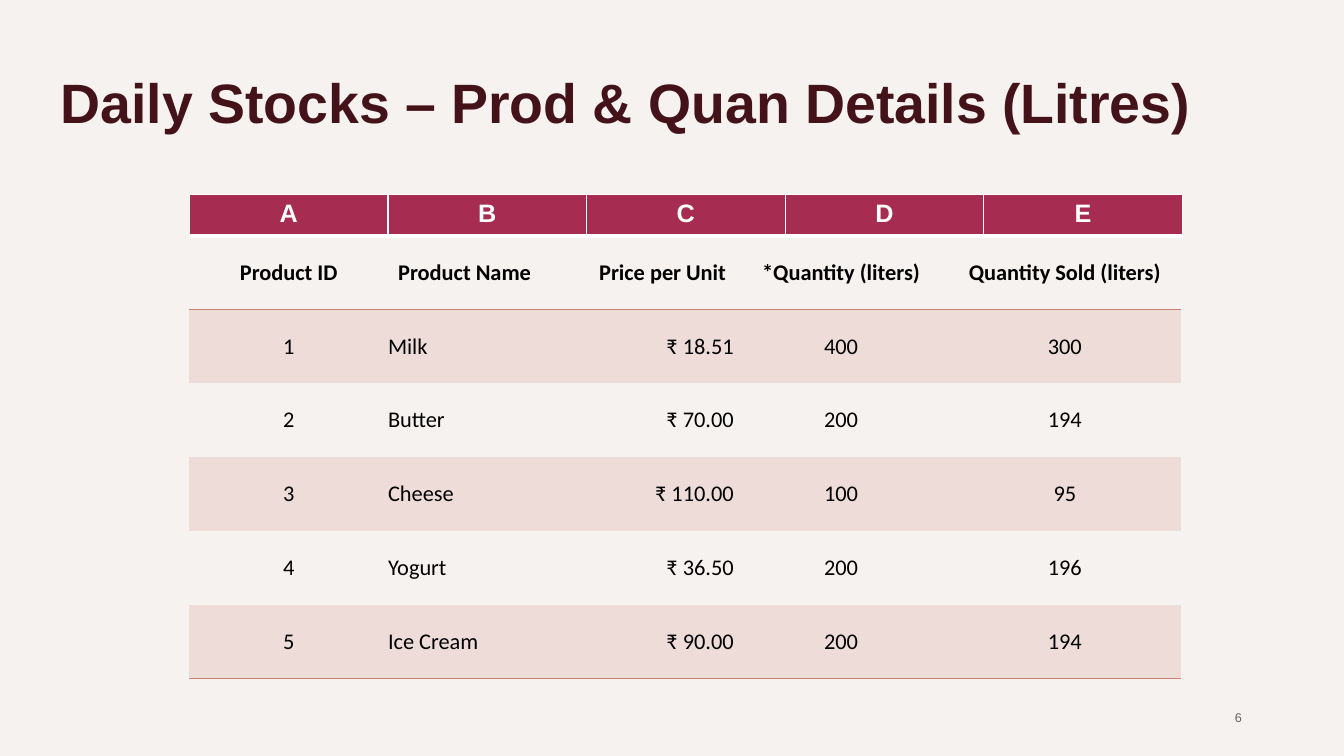
from lxml import etree
from pptx import Presentation
from pptx.dml.color import RGBColor
from pptx.enum import text
from pptx.oxml import ns
from pptx.util import Pt

PAPER, BAND, RULE = "F6F2F0", "EDDCD7", "CA8370"
MAROON, CRIMSON, WHITE, BLACK, GREY = "44131A", "A62C52", "FFFFFF", "000000", "626160"
NO_STYLE = "{2D5ABB26-0587-4C30-8999-92F81FD0307C}"
LEFT, CENTER, RIGHT = text.PP_ALIGN.LEFT, text.PP_ALIGN.CENTER, text.PP_ALIGN.RIGHT

STOCK = [
    ("Product ID", "Product Name", "Price per Unit", "*Quantity (liters)", "Quantity Sold (liters)"),
    ("1", "Milk", "₹ 18.51", "400", "300"),
    ("2", "Butter", "₹ 70.00", "200", "194"),
    ("3", "Cheese", "₹ 110.00", "100", "95"),
    ("4", "Yogurt", "₹ 36.50", "200", "196"),
    ("5", "Ice Cream", "₹ 90.00", "200", "194"),
]
STOCK_WIDTHS = [141.84, 109.44, 137.52, 153.36, 166.32]
STOCK_ALIGN = [CENTER, LEFT, RIGHT, CENTER, CENTER]


def rgb(color):
    return RGBColor.from_string(color)


def write(tf, words, size, font, color, bold=False, align=LEFT):
    p = tf.paragraphs[0]
    p.text, p.alignment = words, align
    f = p.font
    f.size, f.name, f.bold = Pt(size), font, bold
    f.color.rgb = rgb(color)


def add_borders(cell, **borders):
    """Draw cell borders, given in the order L, R, T, B as (colour, width)."""
    tcPr = cell._tc.get_or_add_tcPr()
    for side, (color, width) in borders.items():
        ln = etree.SubElement(tcPr, ns.qn(f"a:ln{side}"), w=str(Pt(width)))
        fill = etree.SubElement(ln, ns.qn("a:solidFill"))
        etree.SubElement(fill, ns.qn("a:srgbClr"), val=color)


def add_plain_table(s, rows, widths, x, y, w, h):
    tbl = s.shapes.add_table(rows, len(widths), Pt(x), Pt(y), Pt(w), Pt(h)).table
    tbl._tbl.tblPr.find(ns.qn("a:tableStyleId")).text = NO_STYLE
    for col, width in zip(tbl.columns, widths):
        col.width = Pt(width)
    for row in tbl.rows:
        row.height = Pt(h / rows)
    return tbl


def add_title(s, x, y, w, h):
    sp = s.shapes.title
    sp.left, sp.top, sp.width, sp.height = Pt(x), Pt(y), Pt(w), Pt(h)
    tf = sp.text_frame
    tf.word_wrap, tf.margin_right = True, 0
    tf.vertical_anchor = text.MSO_ANCHOR.MIDDLE
    write(tf, "Daily Stocks – Prod & Quan Details (Litres)", 39.6, "Arial", MAROON, True)


def add_page_number(s, x, y, w, h):
    tf = s.shapes.add_textbox(Pt(x), Pt(y), Pt(w), Pt(h)).text_frame
    tf.word_wrap = True
    tf.vertical_anchor = text.MSO_ANCHOR.MIDDLE
    write(tf, "6", 9, "Arial", GREY, align=RIGHT)


def add_stock_table(s, x, y, w, h):
    tbl = add_plain_table(s, len(STOCK), STOCK_WIDTHS, x, y, w, h)
    for i, record in enumerate(STOCK):
        head = i == 0
        for j, words in enumerate(record):
            cell = tbl.cell(i, j)
            cell.margin_left = cell.margin_right = cell.margin_top = cell.margin_bottom = 0
            cell.vertical_anchor = text.MSO_ANCHOR.MIDDLE
            if head:
                add_borders(cell, T=(RULE, 1), B=(RULE, 1))
            elif i == len(STOCK) - 1:
                add_borders(cell, B=(RULE, 1))
            # Tint every other row
            if i % 2:
                cell.fill.solid()
                cell.fill.fore_color.rgb = rgb(BAND)
            else:
                cell.fill.background()
            write(cell.text_frame, words, 16, "Calibri", BLACK, head,
                  CENTER if head else STOCK_ALIGN[j])
    # Indent the price heading towards its right-aligned figures
    tbl.cell(0, 2).margin_left = Pt(36)


def add_letter_bar(s, x, y, w, h):
    letters = "ABCDE"
    tbl = add_plain_table(s, 1, [w / len(letters)] * len(letters), x, y, w, h)
    for j, letter in enumerate(letters):
        cell = tbl.cell(0, j)
        add_borders(cell, L=(WHITE, 1), R=(WHITE, 1), T=(WHITE, 1), B=(WHITE, 3))
        cell.fill.solid()
        cell.fill.fore_color.rgb = rgb(CRIMSON)
        write(cell.text_frame, letter, 18, "Arial", WHITE, True, CENTER)


def main():
    prs = Presentation()
    prs.slide_width, prs.slide_height = Pt(960), Pt(540)
    s = prs.slides.add_slide(prs.slide_layouts[5])
    s.background.fill.solid()
    s.background.fill.fore_color.rgb = rgb(PAPER)

    add_title(s, 36, 43.2, 823.7, 59)
    add_page_number(s, 678.24, 498.24, 216, 28.8)
    add_stock_table(s, 135.36, 168.48, 708.48, 316.08)
    add_letter_bar(s, 135.36, 138.96, 709.2, 29.52)
    prs.save("out.pptx")


if __name__ == "__main__":
    main()
